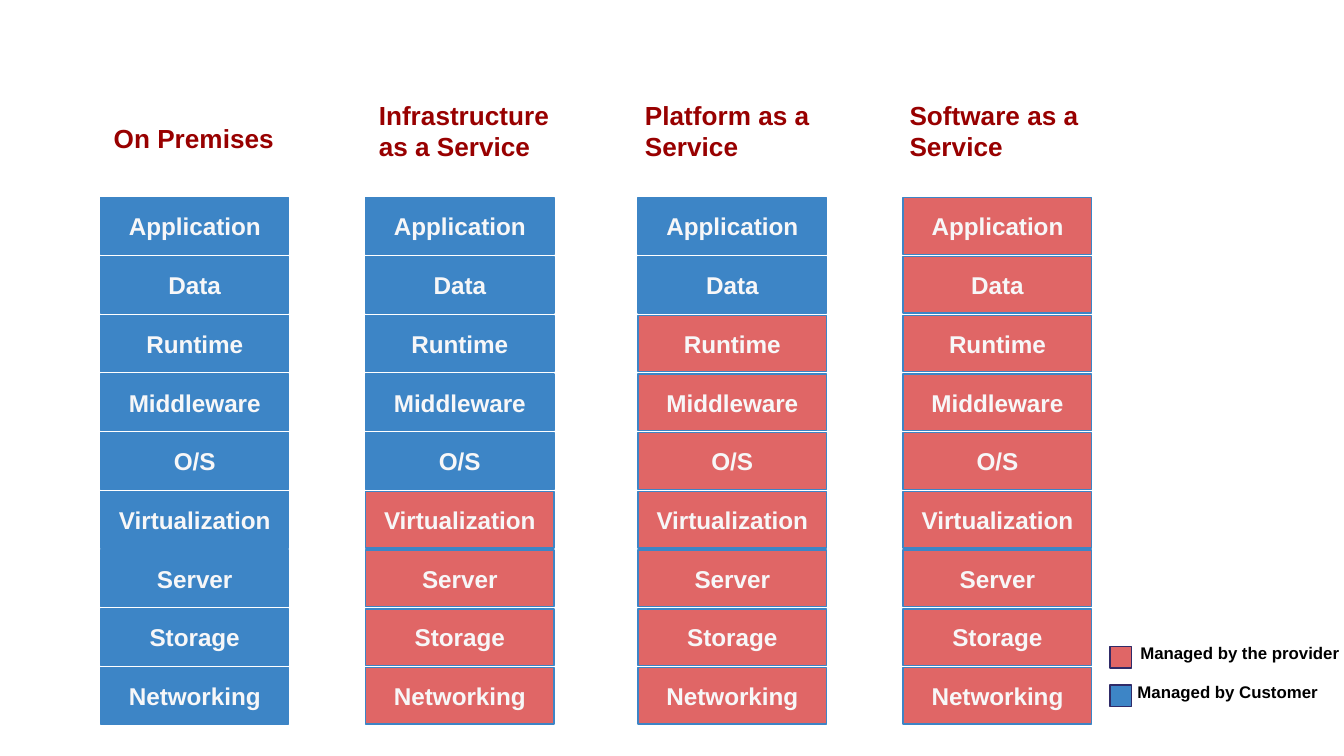
from pptx import Presentation
from pptx.dml.color import RGBColor
from pptx.enum.shapes import MSO_SHAPE
from pptx.enum.text import MSO_ANCHOR, MSO_AUTO_SIZE, PP_ALIGN
from pptx.util import Cm, Pt

COLORS = {
    "customer": "3D85C6",
    "provider": "E06666",
    "layer_text": "F7F7F8",
    "heading": "980000",
    "legend_line": "302B68",
    "legend_text": "000000",
}
LAYERS = ["Application", "Data", "Runtime", "Middleware", "O/S",
          "Virtualization", "Server", "Storage", "Networking"]
MODELS = [
    (["On Premises"], 1.9, 2.06, 1.9, 9),
    (["Infrastructure", "as a Service"], 6.91, 1.63, 6.91, 5),
    (["Platform as a", "Service"], 11.94, 1.63, 12.06, 2),
    (["Software as a", "Service"], 16.94, 1.63, 17.07, 0),
]
LEGEND = [
    ("provider", "Managed by the provider", 12.22, 20.93, 11.96, 5.0),
    ("customer", "Managed by Customer", 12.95, 21.23, 12.7, 3.94),
]
STACK_TOP, LAYER_STEP = 3.74, 1.11
LAYER_WIDTH, LAYER_HEIGHT = 3.56, 1.07
HEADING_WIDTH, HEADING_HEIGHT = 3.94, 1.07
SWATCH_LEFT, SWATCH_SIZE = 20.98, 0.41
LEGEND_HEIGHT = 0.94
INSET = 0.25


def rgb(name):
    return RGBColor.from_string(COLORS[name])


def write_text(shape, lines, size, color, alignment, anchor):
    frame = shape.text_frame
    frame.word_wrap = True
    frame.vertical_anchor = anchor
    frame.margin_left = frame.margin_right = Cm(INSET)
    frame.margin_top = frame.margin_bottom = Cm(INSET)
    frame.text = "\n".join(lines)
    for paragraph in frame.paragraphs:
        paragraph.alignment = alignment
        paragraph.font.name = "Arial"
        paragraph.font.size = Pt(size)
        paragraph.font.bold = True
        paragraph.font.color.rgb = rgb(color)


def add_box(slide, left, top, width, height, fill, line):
    shape = slide.shapes.add_shape(
        MSO_SHAPE.RECTANGLE, Cm(left), Cm(top), Cm(width), Cm(height))
    shape.shadow.inherit = False
    shape.fill.solid()
    shape.fill.fore_color.rgb = rgb(fill)
    shape.line.color.rgb = rgb(line)
    shape.line.width = Pt(0.75)
    return shape


def add_label(slide, left, top, width, height, lines, size, color, alignment):
    shape = slide.shapes.add_textbox(Cm(left), Cm(top), Cm(width), Cm(height))
    write_text(shape, lines, size, color, alignment, MSO_ANCHOR.TOP)


def add_stack(slide, left, customer_layers):
    for index, layer in enumerate(LAYERS):
        manager = "customer" if index < customer_layers else "provider"
        box = add_box(slide, left, STACK_TOP + index * LAYER_STEP,
                      LAYER_WIDTH, LAYER_HEIGHT, manager, "customer")
        write_text(box, [layer], 13, "layer_text", PP_ALIGN.CENTER, MSO_ANCHOR.MIDDLE)
        box.text_frame.auto_size = MSO_AUTO_SIZE.SHAPE_TO_FIT_TEXT


def add_legend(slide):
    for manager, label, swatch_top, left, top, width in LEGEND:
        add_box(slide, SWATCH_LEFT, swatch_top, SWATCH_SIZE, SWATCH_SIZE,
                manager, "legend_line")
        add_label(slide, left, top, width, LEGEND_HEIGHT, [label], 9,
                  "legend_text", PP_ALIGN.CENTER)


def main():
    presentation = Presentation()
    presentation.slide_width = Cm(25.4)
    presentation.slide_height = Cm(14.29)
    slide = presentation.slides.add_slide(presentation.slide_layouts[6])
    for heading, heading_left, heading_top, stack_left, customer_layers in MODELS:
        add_label(slide, heading_left, heading_top, HEADING_WIDTH, HEADING_HEIGHT,
                  heading, 14, "heading", PP_ALIGN.LEFT)
        add_stack(slide, stack_left, customer_layers)
    add_legend(slide)
    presentation.save("out.pptx")


if __name__ == "__main__":
    main()
